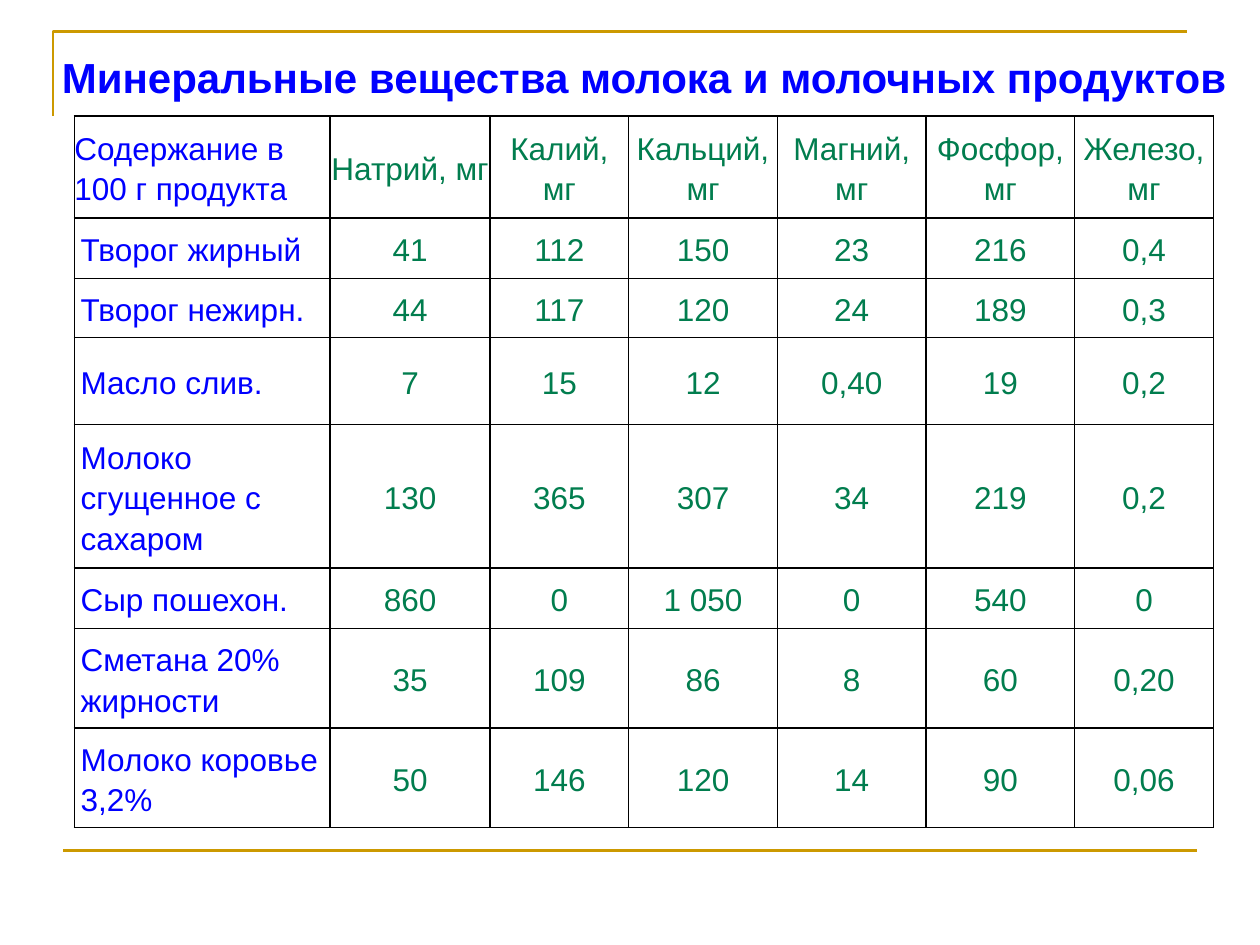
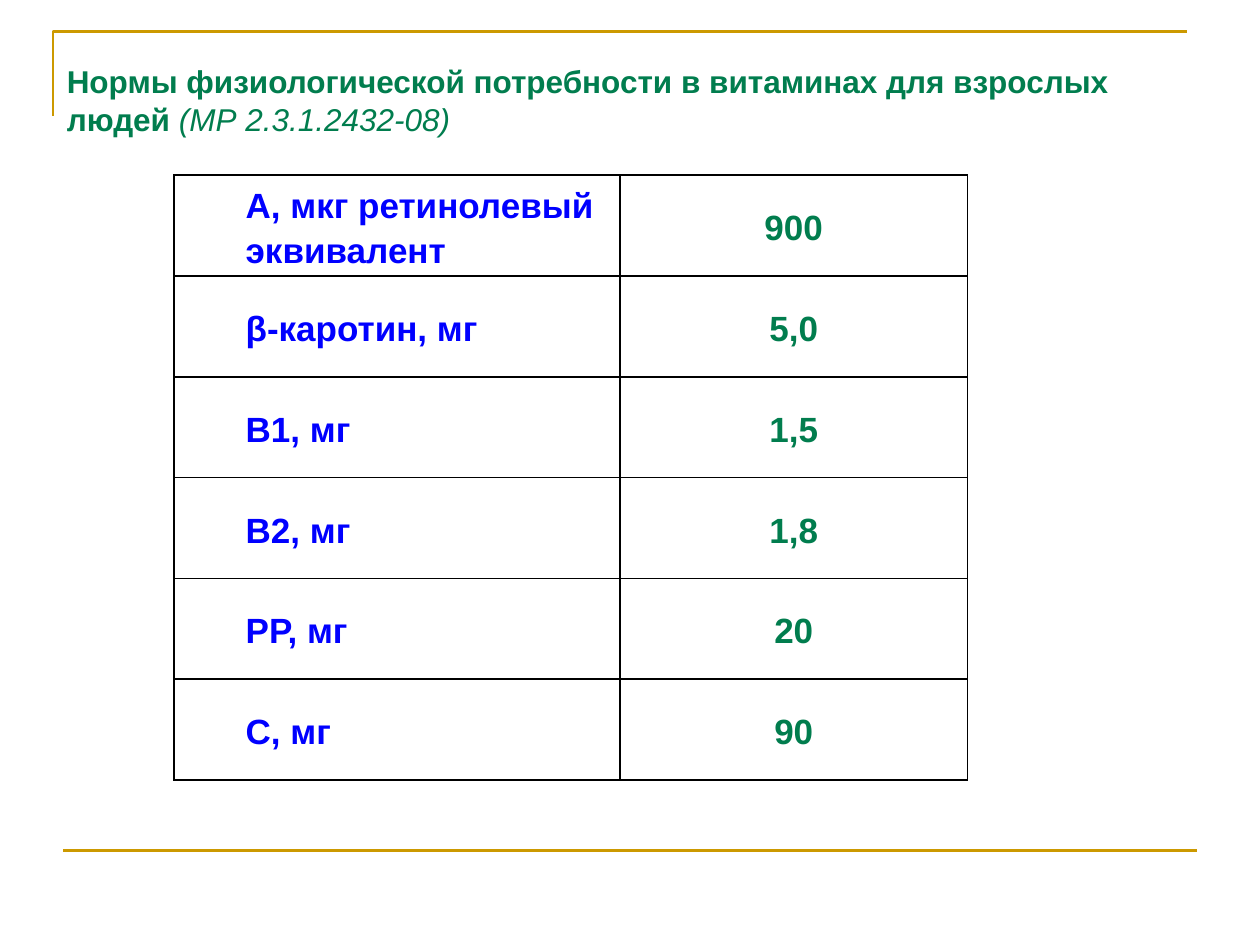
"""Build two slides with tables on milk minerals and vitamin norms."""
from lxml.etree import SubElement
from pptx import Presentation
from pptx.dml.color import RGBColor
from pptx.enum.shapes import MSO_CONNECTOR
from pptx.enum.text import MSO_ANCHOR, MSO_AUTO_SIZE, PP_ALIGN
from pptx.oxml.ns import qn
from pptx.util import Inches, Pt

BLUE = RGBColor(0x00, 0x00, 0xFF)
GREEN = RGBColor(0x01, 0x7D, 0x4E)
GOLD = RGBColor(0xCC, 0x99, 0x00)
BLACK = RGBColor(0x00, 0x00, 0x00)
FONT = "Arial"
TITLE_ONLY = 5

MINERALS = [
    ["Содержание в 100 г продукта", "Натрий, мг", "Калий, мг", "Кальций, мг",
     "Магний, мг", "Фосфор, мг", "Железо, мг"],
    ["Творог жирный", "41", "112", "150", "23", "216", "0,4"],
    ["Творог нежирн.", "44", "117", "120", "24", "189", "0,3"],
    ["Масло слив.", "7", "15", "12", "0,40", "19", "0,2"],
    ["Молоко сгущенное с сахаром", "130", "365", "307", "34", "219", "0,2"],
    ["Сыр пошехон.", "860", "0", "1 050", "0", "540", "0"],
    ["Сметана 20% жирности", "35", "109", "86", "8", "60", "0,20"],
    ["Молоко коровье 3,2%", "50", "146", "120", "14", "90", "0,06"],
]
MINERAL_COLS = [2.03, 1.27, 1.1, 1.18, 1.18, 1.18, 1.1]
MINERAL_ROWS = [0.81, 0.48, 0.47, 0.69, 1.14, 0.48, 0.79, 0.79]

VITAMINS = [
    ["А, мкг ретинолевый эквивалент", "900"],
    ["β-каротин, мг", "5,0"],
    ["В1, мг", "1,5"],
    ["В2, мг", "1,8"],
    ["РР, мг", "20"],
    ["С, мг", "90"],
]
VITAMIN_COLS = [3.54, 2.76]
VITAMIN_ROWS = [0.8] * len(VITAMINS)


def add_text(p, text, size=18, color=GREEN, bold=False, italic=False):
    """Append a formatted run to a paragraph."""
    r = p.add_run()
    r.text = text
    r.font.name = FONT
    r.font.size = Pt(size)
    r.font.color.rgb = color
    r.font.bold = bold
    r.font.italic = italic


def add_frame(s):
    """Draw the gold corner and the gold bottom line."""
    left, top, right, bottom = Inches(0.42), Inches(0.25), Inches(9.42), Inches(0.92)
    builder = s.shapes.build_freeform(left, bottom)
    builder.add_line_segments([(left, top), (right, top)], close=False)
    corner = builder.convert_to_shape()
    corner.shadow.inherit = False
    corner.fill.background()
    rule = s.shapes.add_connector(MSO_CONNECTOR.STRAIGHT, Inches(0.5), Inches(6.75),
                                  Inches(9.5), Inches(6.75))
    for sp in (corner, rule):
        sp.line.color.rgb = GOLD
        sp.line.width = Pt(1.5)
    SubElement(rule._element.spPr, qn("a:effectLst"))


def add_slide(prs, left, top, width, height):
    """Add a framed slide and return it with its title paragraph."""
    s = prs.slides.add_slide(prs.slide_layouts[TITLE_ONLY])
    add_frame(s)
    sp = s.shapes.title
    sp.left, sp.top = Inches(left), Inches(top)
    sp.width, sp.height = Inches(width), Inches(height)
    tf = sp.text_frame
    tf.word_wrap = True
    tf.auto_size = MSO_AUTO_SIZE.SHAPE_TO_FIT_TEXT
    tf.vertical_anchor = MSO_ANCHOR.TOP
    p = tf.paragraphs[0]
    p.alignment = PP_ALIGN.LEFT
    return s, p


def add_borders(cell):
    """Give a cell thin black lines on all sides."""
    tc_pr = cell._tc.get_or_add_tcPr()
    for side in ("lnL", "lnR", "lnT", "lnB"):
        ln = SubElement(tc_pr, qn(f"a:{side}"), w=str(Pt(1)))
        fill = SubElement(ln, qn("a:solidFill"))
        SubElement(fill, qn("a:srgbClr"), val=str(BLACK))


def fill_cell(cell, text, is_label, inset_x, inset_y, indent=0, after=10, **fmt):
    """Write one cell: labels blue at the left, values green and centred."""
    add_borders(cell)
    cell.fill.background()
    cell.margin_left = cell.margin_right = Inches(inset_x)
    cell.margin_top = cell.margin_bottom = Inches(inset_y)
    cell.vertical_anchor = MSO_ANCHOR.MIDDLE
    p = cell.text_frame.paragraphs[0]
    p.alignment = PP_ALIGN.LEFT if is_label else PP_ALIGN.CENTER
    p.line_spacing = 1.15
    p.space_after = Pt(after)
    if indent:
        p.level = 1
        p_pr = p._p.get_or_add_pPr()
        p_pr.set("marL", str(Inches(indent)))
        p_pr.set("indent", "0")
    add_text(p, text, color=BLUE if is_label else GREEN, **fmt)


def add_grid(s, left, top, cols, rows):
    """Add an unstyled table with the given column widths and row heights."""
    table = s.shapes.add_table(len(rows), len(cols), Inches(left), Inches(top),
                               Inches(sum(cols)), Inches(sum(rows))).table
    table.first_row = table.horz_banding = False
    for col, width in zip(table.columns, cols):
        col.width = Inches(width)
    for row, height in zip(table.rows, rows):
        row.height = Inches(height)
    return table


def add_minerals_slide(prs):
    """Add the slide on minerals in milk products."""
    s, p = add_slide(prs, 0.39, 0.36, 9.65, 0.5)
    add_text(p, "Минеральные вещества молока и молочных продуктов",
             size=24, color=BLUE, bold=True)
    table = add_grid(s, 0.59, 0.92, MINERAL_COLS, MINERAL_ROWS)
    for i, row in enumerate(MINERALS):
        for j, text in enumerate(row):
            inset = 0 if i == 0 else 0.05 if j == 0 else 0.06
            fill_cell(table.cell(i, j), text, j == 0, inset, inset,
                      after=10 if i else 0)


def add_vitamins_slide(prs):
    """Add the slide on vitamin norms for adults."""
    s, p = add_slide(prs, 0.43, 0.44, 8.98, 0.71)
    add_text(p, "Нормы физиологической потребности в витаминах для взрослых людей ",
             bold=True)
    add_text(p, "(МР 2.3.1.2432-08)", italic=True)
    table = add_grid(s, 1.38, 1.39, VITAMIN_COLS, VITAMIN_ROWS)
    for i, (vitamin, norm) in enumerate(VITAMINS):
        fill_cell(table.cell(i, 0), vitamin, True, 0.07, 0, indent=0.5,
                  size=20, bold=True)
        fill_cell(table.cell(i, 1), norm, False, 0.07, 0, size=20, bold=True)


def main():
    """Build and save the presentation."""
    prs = Presentation()
    prs.slide_width, prs.slide_height = Inches(10), Inches(7.5)
    add_minerals_slide(prs)
    add_vitamins_slide(prs)
    prs.save("out.pptx")


if __name__ == "__main__":
    main()
